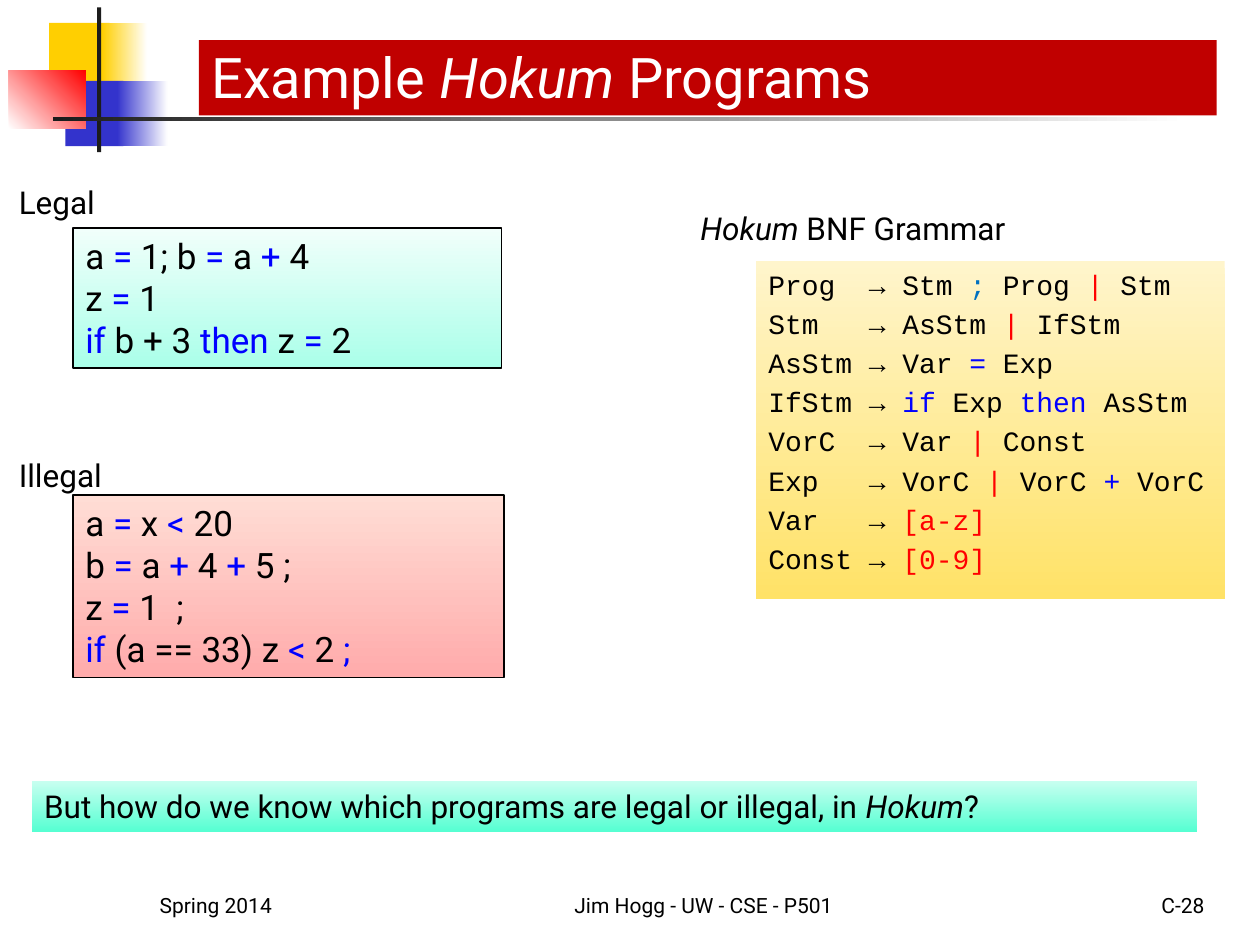
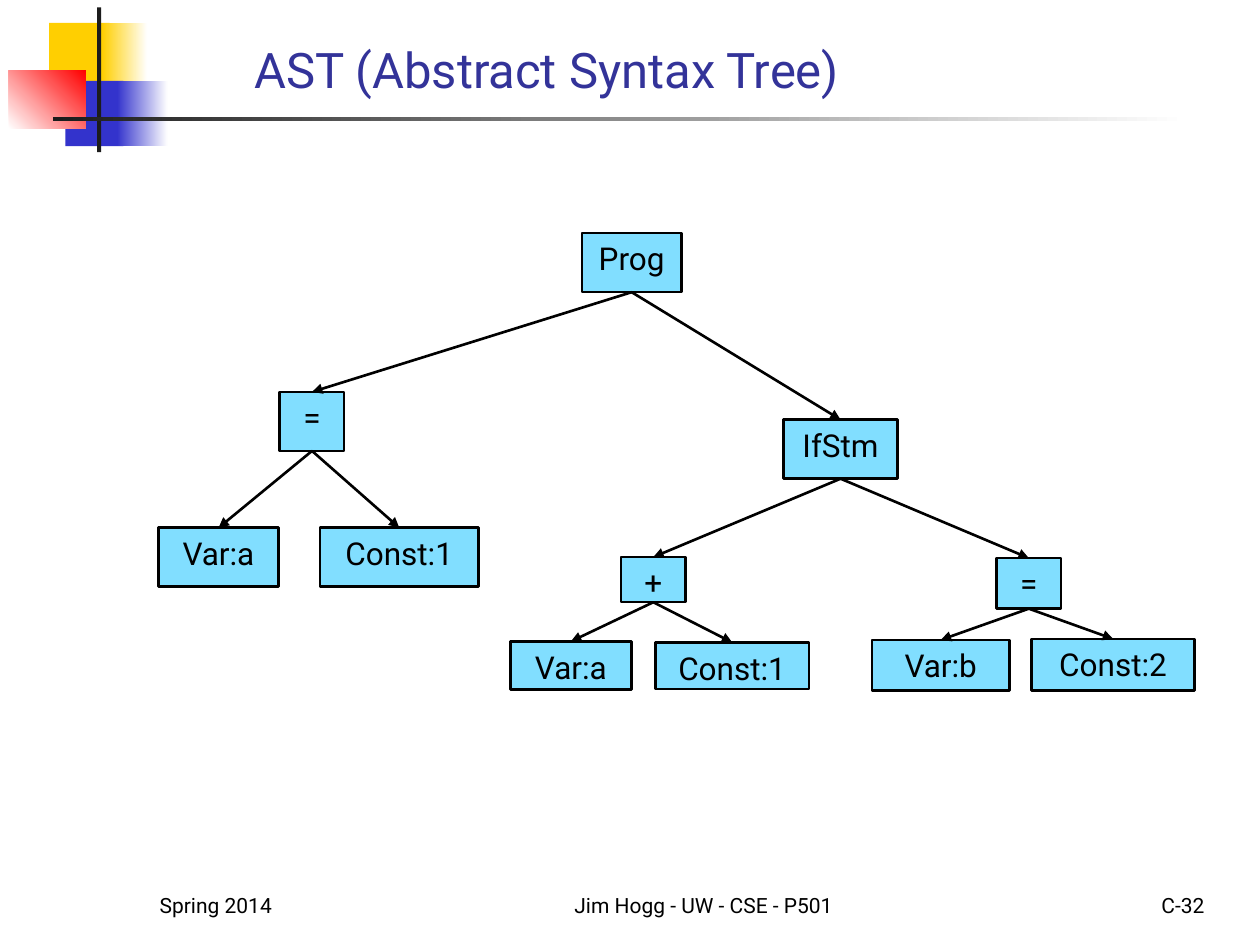
from lxml.etree import SubElement
from pptx import Presentation
from pptx.dml.color import RGBColor as Rgb
from pptx.enum.shapes import MSO_CONNECTOR as Link, MSO_SHAPE as Kind
from pptx.enum.text import MSO_ANCHOR as Anchor, PP_ALIGN as Align
from pptx.oxml.ns import qn
from pptx.util import Cm, Pt

HUES = {
    "black": "000000", "white": "FFFFFF", "ink": "1C1C1C",
    "gold": "FFCF01", "navy": "3333CC", "red": "FF0000",
    "blue": "0000FF", "teal": "0070C0", "title": "333399",
    "band": "C00000", "node": "81DEFF",
    "mint": "F1FFFB", "aqua": "AAFFE9", "peach": "FFDDD5", "rose": "FFABAB",
    "cream": "FFF5CC", "sand": "FFE267", "foam": "C7FFF0", "jade": "56FFD2",
}
SANS, MONO = "Roboto", "Courier New"
DOWN, RIGHT, RISE = 270, 0, 45

# Master art: place, fill (one hue, or two hues and an angle)
ART = [
    ((0.99, 0.46, 1.22, 1.32), "gold"),
    ((2.06, 0.46, 0.91, 1.32), ("gold", "white", RIGHT)),
    ((1.32, 1.63, 1.17, 1.32), "navy"),
    ((2.36, 1.63, 1.02, 1.32), ("navy", "white", RIGHT)),
    ((0.18, 1.42, 1.55, 1.17), ("white", "red", RISE)),
    ((1.96, 0.15, 0.08, 2.92), "ink"),
    ((1.07, 2.36, 22.86, 0.08), ("ink", "white", RIGHT)),
]


class Deck:
    def __init__(self):
        self.prs = Presentation()
        self.prs.slide_width, self.prs.slide_height = Cm(25.4), Cm(19.05)
        self.slide = None

    def page(self, num):
        """Start a slide with the shared art and footer."""
        self.slide = self.prs.slides.add_slide(self.prs.slide_layouts[6])
        for place, fill in ART:
            self.box(place, fill)
        feet = [(2.97, 5.28, "Spring 2014", Align.LEFT),
                (10.16, 8.05, "Jim Hogg - UW - CSE - P501", Align.CENTER),
                (19.25, 5.28, num, Align.RIGHT)]
        for left, width, words, align in feet:
            box = self.label((left, 17.35, width, 1.27), [[words]], 12)
            box.text_frame.vertical_anchor = Anchor.BOTTOM
            box.text_frame.paragraphs[0].alignment = align

    def title(self, place, runs, size, hue, fill=None):
        box = self.box(place, fill) if fill else self.label(place, [], size)
        self.text(box, [runs], size, hue=hue)
        box.text_frame.vertical_anchor = Anchor.BOTTOM

    def box(self, place, fill, edge=None):
        box = self.slide.shapes.add_shape(Kind.RECTANGLE, *map(Cm, place))
        box.shadow.inherit = False
        if isinstance(fill, str):
            box.fill.solid()
            box.fill.fore_color.rgb = self.rgb(fill)
        else:
            *hues, angle = fill
            box.fill.gradient()
            box.fill.gradient_angle = angle
            for stop, hue in zip(box.fill.gradient_stops, hues):
                stop.color.rgb = self.rgb(hue)
        if edge:
            box.line.color.rgb = self.rgb("black")
            box.line.width = Pt(edge)
        else:
            box.line.fill.background()
        return box

    def label(self, place, lines, size=18):
        box = self.slide.shapes.add_textbox(*map(Cm, place))
        self.text(box, lines, size)
        return box

    def text(self, box, lines, size, font=SANS, hue="black",
             align=Align.LEFT, gap=0):
        """Fill a box; a run is a string, or a string with a hue or "italic"."""
        frame = box.text_frame
        frame.word_wrap = True
        frame.vertical_anchor = Anchor.TOP
        for i, runs in enumerate(lines):
            para = frame.add_paragraph() if i else frame.paragraphs[0]
            para.alignment = align
            if i and gap:
                para.space_before = Pt(gap)
            for run in runs:
                words, mark = (run, None) if isinstance(run, str) else run
                piece = para.add_run()
                piece.text = words
                style = piece.font
                style.name, style.size = font, Pt(size)
                style.italic = mark == "italic"
                style.color.rgb = self.rgb(mark if mark in HUES else hue)

    def arrow(self, top, low):
        """Join the bottom of one box to the top of another."""
        line = self.slide.shapes.add_connector(Link.STRAIGHT, 0, 0, 0, 0)
        line.begin_connect(top, 2)
        line.end_connect(low, 0)
        line.line.color.rgb = self.rgb("black")
        line.line.width = Pt(1.5)
        SubElement(line.line._get_or_add_ln(), qn("a:tailEnd"), type="triangle")
        SubElement(line._element.spPr, qn("a:effectLst"))

    def tree(self, node):
        """Draw a node, then its children with arrows to them."""
        words, place, *kids = node
        box = self.box(place, "node", 1.5)
        self.text(box, [[words]], 18, align=Align.CENTER)
        for kid in kids:
            self.arrow(box, self.tree(kid))
        return box

    @staticmethod
    def rgb(hue):
        return Rgb.from_string(HUES[hue])


# Coloured marks of the language
SET, ADD, LESS, IF = [(s, "blue") for s in ("=", "+", "<", "if")]
OR = ("| ", "red")

LEGAL = [
    ["a ", SET, " 1; b ", SET, " a ", ADD, " 4"],
    ["z ", SET, " 1"],
    [IF, " b + 3 ", ("then", "blue"), " z ", SET, " 2"],
]
WRONG = [
    ["a ", SET, " x ", LESS, " 20"],
    ["b ", SET, " a ", ADD, " 4 ", ADD, " 5 ;"],
    ["z ", SET, " 1  ;"],
    [IF, " (a == 33) z ", LESS, " 2 ", (";", "blue")],
]
RULES = [
    ["Prog  → Stm ", ("; ", "teal"), "Prog ", OR, "Stm"],
    ["Stm   → AsStm ", OR, "IfStm"],
    ["AsStm → Var ", ("= ", "blue"), "Exp"],
    ["IfStm → ", ("if ", "blue"), "Exp ", ("then ", "blue"), "AsStm"],
    ["VorC  → Var ", OR, "Const"],
    ["Exp   → VorC ", OR, "VorC ", ("+ ", "blue"), "VorC"],
    ["Var   → ", ("[a-z]", "red")],
    ["Const → ", ("[0-9]", "red")],
]

# Syntax tree: text, place, children
TREE = (
    "Prog", (11.73, 4.7, 2.01, 1.19),
    ("=", (5.64, 7.9, 1.3, 1.19),
     ("Var:a", (3.2, 10.64, 2.41, 1.19)),
     ("Const:1", (6.45, 10.64, 3.2, 1.19))),
    ("IfStm", (15.8, 8.46, 2.29, 1.19),
     ("+", (12.52, 11.23, 1.3, 0.91),
      ("Var:a", (10.29, 12.93, 2.44, 0.97)),
      ("Const:1", (13.21, 12.95, 3.1, 0.94))),
     ("=", (20.09, 11.25, 1.3, 1.02),
      ("Var:b", (17.58, 12.9, 2.77, 1.02)),
      ("Const:2", (20.8, 12.88, 3.28, 1.04)))),
)


def main():
    deck = Deck()

    # Slide 1: sample programs and grammar
    deck.page("C-28")
    deck.title((4.01, 0.81, 20.52, 1.52),
               ["Example ", ("Hokum ", "italic"), "Programs"],
               32, "white", "band")
    deck.label((0.13, 3.56, 4.22, 1.02), [["Legal"]])
    good = deck.box((1.47, 4.6, 8.64, 2.82), ("mint", "aqua", DOWN), 0.75)
    deck.text(good, LEGAL, 20)
    deck.label((0.13, 9.07, 4.22, 1.02), [["Illegal"]])
    bad = deck.box((1.47, 9.98, 8.69, 3.68), ("peach", "rose", DOWN), 0.75)
    deck.text(bad, WRONG, 20)
    deck.label((13.87, 4.09, 8.69, 1.02),
               [[("Hokum ", "italic"), "BNF Grammar"]])
    rules = deck.box((15.24, 5.26, 9.45, 6.81), ("cream", "sand", DOWN))
    deck.text(rules, RULES, 16, MONO, gap=3.2)
    ask = deck.box((0.64, 15.75, 23.5, 1.02), ("foam", "jade", DOWN))
    deck.text(ask, [["But how do we know which programs are legal or illegal, in ",
                     ("Hokum", "italic"), "?"]], 18)

    # Slide 2: syntax tree
    deck.page("C-32")
    deck.title((4.88, 0.58, 19.96, 1.52), ["AST (Abstract Syntax Tree)"],
               28, "title")
    deck.tree(TREE)

    deck.prs.save("out.pptx")


if __name__ == "__main__":
    main()
